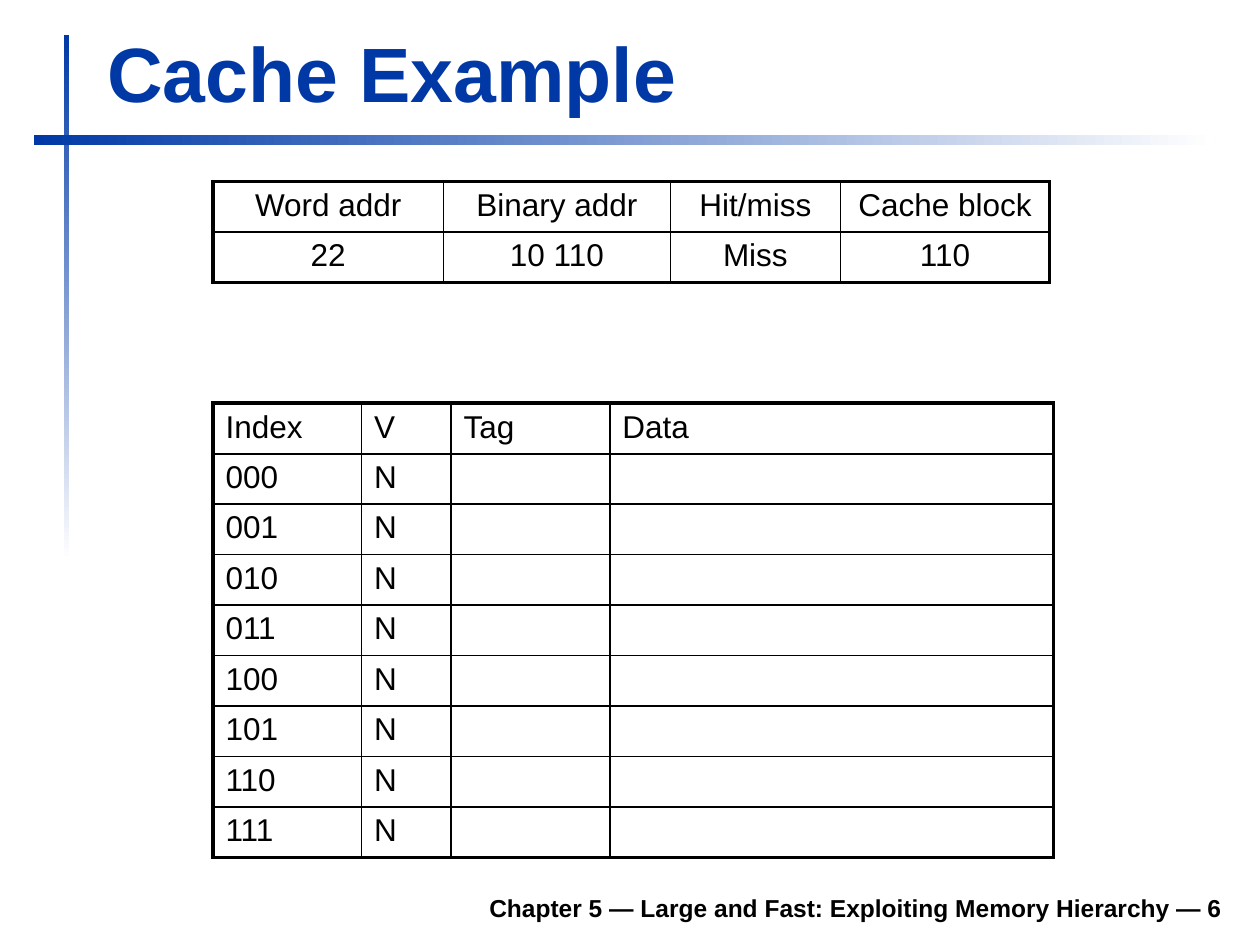
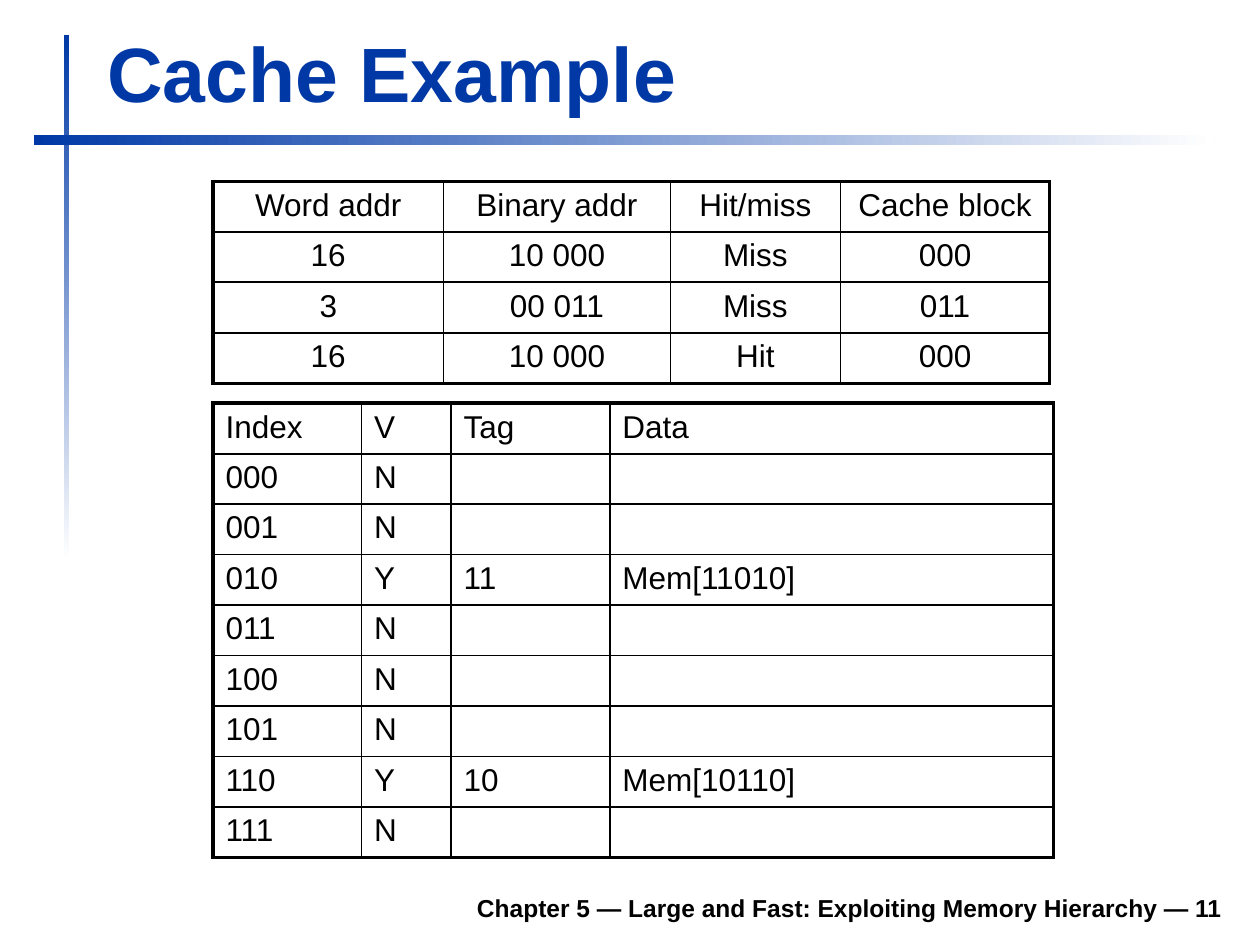
from dataclasses import dataclass

from lxml import etree
from pptx import Presentation
from pptx.dml.color import RGBColor
from pptx.enum import shapes, text
from pptx.oxml import ns
from pptx.util import Inches, Pt


@dataclass(frozen=True)
class Theme:
    font: str = "Arial"
    blue: RGBColor = RGBColor(0x00, 0x39, 0xA6)
    white: RGBColor = RGBColor(0xFF, 0xFF, 0xFF)
    black: RGBColor = RGBColor(0x00, 0x00, 0x00)
    title_size: Pt = Pt(44)
    table_size: Pt = Pt(18)
    footer_size: Pt = Pt(14)
    outer_line: Pt = Pt(2.25)
    header_line: Pt = Pt(1.5)
    inner_line: Pt = Pt(1)


theme = Theme()

TITLE = "Cache Example"
FOOTER = "Chapter 5 — Large and Fast: Exploiting Memory Hierarchy — {}"
ROW_HEIGHT = Inches(0.4)
TABLE_LEFT = Inches(1.69)
ACCESS_HEADER = ["Word addr", "Binary addr", "Hit/miss", "Cache block"]
CACHE_HEADER = ["Index", "V", "Tag", "Data"]

# Per slide: page number, accesses, and valid cache blocks as index -> tag
SLIDES = [
    (6, [["22", "10 110", "Miss", "110"]], {}),
    (11, [["16", "10 000", "Miss", "000"],
          ["3", "00 011", "Miss", "011"],
          ["16", "10 000", "Hit", "000"]], {"010": "11", "110": "10"}),
]


def format_paragraph(paragraph, size, color, alignment, bold=False):
    paragraph.alignment = alignment
    paragraph.font.name = theme.font
    paragraph.font.size = size
    paragraph.font.bold = bold
    paragraph.font.color.rgb = color


def add_grid(slide, top, widths, rows, alignment, row_line):
    """Add a table with a heavy frame, a header rule and row_line between rows."""
    frame = slide.shapes.add_table(len(rows), len(widths), TABLE_LEFT, top,
                                   Inches(sum(widths)), ROW_HEIGHT * len(rows))
    table = frame.table
    table.first_row = table.horz_banding = False
    for column, width in zip(table.columns, widths):
        column.width = Inches(width)
    horizontal = ([theme.outer_line, theme.header_line]
                  + [row_line] * (len(rows) - 2) + [theme.outer_line])
    vertical = ([theme.outer_line] + [theme.inner_line] * (len(widths) - 1)
                + [theme.outer_line])
    for r, row in enumerate(rows):
        for c, value in enumerate(row):
            cell = table.cell(r, c)
            cell.text = value
            format_paragraph(cell.text_frame.paragraphs[0], theme.table_size,
                             theme.black, alignment)
            cell.fill.background()
            properties = cell._tc.get_or_add_tcPr()
            borders = {"lnL": vertical[c], "lnR": vertical[c + 1],
                       "lnT": horizontal[r], "lnB": horizontal[r + 1]}
            for position, (side, width) in enumerate(borders.items()):
                line = etree.Element(ns.qn(f"a:{side}"), w=str(int(width)))
                fill = etree.SubElement(line, ns.qn("a:solidFill"))
                etree.SubElement(fill, ns.qn("a:srgbClr"), val=str(theme.black))
                properties.insert(position, line)


presentation = Presentation()
presentation.slide_width = Inches(10)
presentation.slide_height = Inches(7.5)
layout = presentation.slide_layouts.get_by_name("Title Only")

for number, accesses, valid_blocks in SLIDES:
    slide = presentation.slides.add_slide(layout)

    # Crossed gradient bars, drawn once and moved to the master
    if number == SLIDES[0][0]:
        bars = [((0.51, 0.28, 0.04, 4.17), 270), ((0.27, 1.07, 9.37, 0.08), 0)]
        for box, angle in bars:
            bar = slide.shapes.add_shape(shapes.MSO_SHAPE.RECTANGLE,
                                         *map(Inches, box))
            bar.shadow.inherit = False
            bar.line.fill.background()
            bar.fill.gradient()
            bar.fill.gradient_angle = angle
            for stop, color in zip(bar.fill.gradient_stops,
                                   (theme.blue, theme.white)):
                stop.color.rgb = color
            presentation.slide_master.shapes.element.append(bar.element)

    # Title
    title = slide.shapes.title
    title.left, title.top = Inches(0.75), Inches(0.16)
    title.width, title.height = Inches(9.03), Inches(0.83)
    title.text_frame.text = TITLE
    title.text_frame.vertical_anchor = text.MSO_ANCHOR.BOTTOM
    title.text_frame.auto_size = text.MSO_AUTO_SIZE.SHAPE_TO_FIT_TEXT
    format_paragraph(title.text_frame.paragraphs[0], theme.title_size,
                     theme.blue, text.PP_ALIGN.LEFT, bold=True)

    # Footer
    footer = slide.shapes.add_textbox(Inches(1.85), Inches(6.98),
                                      Inches(7.95), Inches(0.39))
    footer.text_frame.word_wrap = True
    footer.text_frame.vertical_anchor = text.MSO_ANCHOR.BOTTOM
    footer.text_frame.text = FOOTER.format(number)
    format_paragraph(footer.text_frame.paragraphs[0], theme.footer_size,
                     theme.black, text.PP_ALIGN.RIGHT, bold=True)

    # Memory accesses
    add_grid(slide, Inches(1.44), [1.83, 1.8, 1.35, 1.66],
             [ACCESS_HEADER] + accesses, text.PP_ALIGN.CENTER, theme.header_line)

    # Cache contents
    cache_rows = [CACHE_HEADER]
    for block in range(8):
        index = f"{block:03b}"
        tag = valid_blocks.get(index)
        cache_rows.append([index, "Y", tag, f"Mem[{tag}{index}]"] if tag
                          else [index, "N", "", ""])
    add_grid(slide, Inches(3.2), [1.18, 0.71, 1.26, 3.52],
             cache_rows, text.PP_ALIGN.LEFT, theme.inner_line)

presentation.save("out.pptx")
